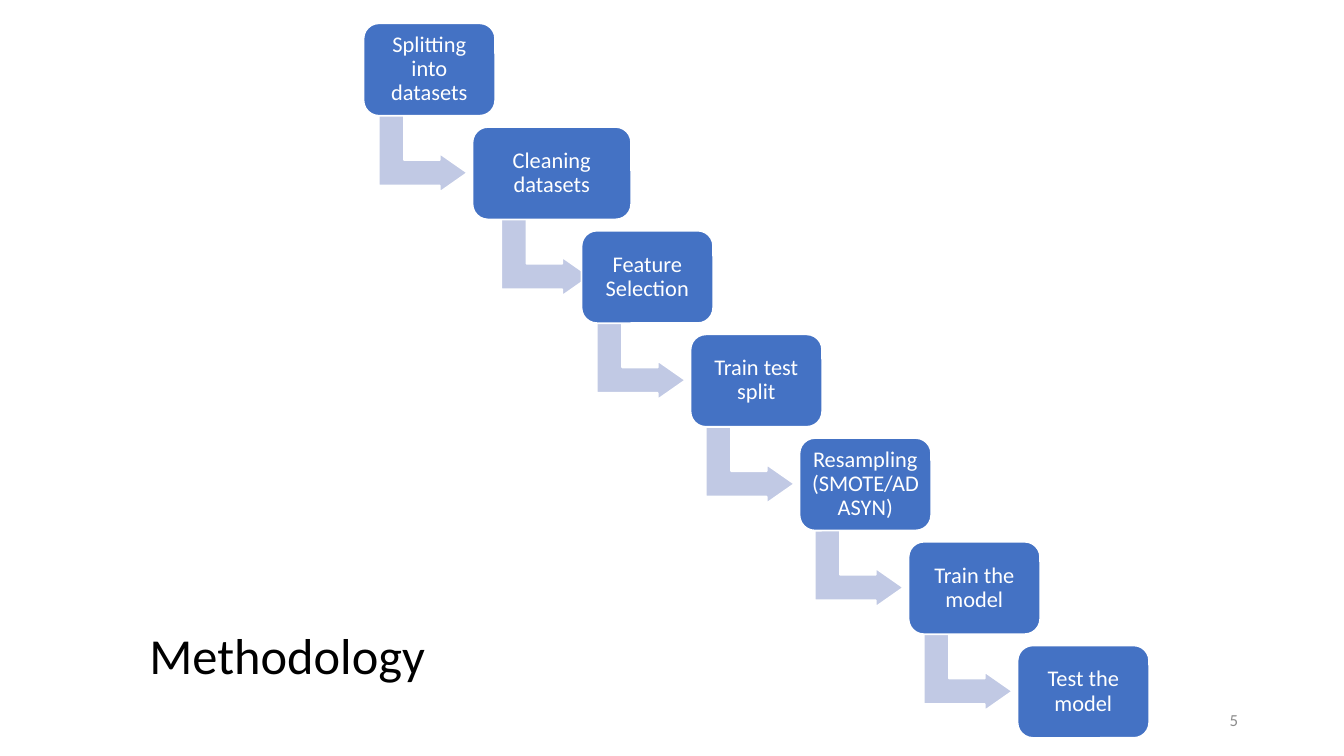
from pptx import Presentation
from pptx.dml.color import RGBColor
from pptx.enum.shapes import MSO_SHAPE as SHAPE
from pptx.enum.text import MSO_ANCHOR as ANCHOR, PP_ALIGN as ALIGN
from pptx.util import Cm, Pt

COLORS = {
    "box": "4472C4",
    "arrow": "C1C9E4",
    "white": "FFFFFF",
    "title": "000000",
    "number": "8C8C8C",
}
STEPS = [
    "Splitting into datasets",
    "Cleaning datasets",
    "Feature Selection",
    "Train test split",
    "Resampling (SMOTE/ADASYN)",
    "Train the model",
    "Test the model",
]
LEFT, TOP = 6.87, 0.44
STEP_X, STEP_Y = 2.06, 1.96
BOX_W, BOX_H = 2.49, 1.75
EXTRA_W = {"Cleaning datasets": 0.51}


def write(shape, text, size, color, align, spacing=1.0, inset=None):
    tf = shape.text_frame
    tf.word_wrap = True
    tf.vertical_anchor = ANCHOR.MIDDLE
    if inset is not None:
        tf.margin_left = tf.margin_right = Cm(inset)
        tf.margin_top = tf.margin_bottom = Cm(inset)
    p = tf.paragraphs[0]
    p.alignment = align
    p.line_spacing = spacing
    r = p.add_run()
    r.text = text
    r.font.name = "Calibri"
    r.font.size = Pt(size)
    r.font.color.rgb = RGBColor.from_string(COLORS[color])


def add_block(kind, left, top, width, height, color, adjustments):
    """Add a filled preset shape with a thin white outline."""
    sp = s.shapes.add_shape(kind, Cm(left), Cm(top), Cm(width), Cm(height))
    sp.shadow.inherit = False
    sp.fill.solid()
    sp.fill.fore_color.rgb = RGBColor.from_string(COLORS[color])
    sp.line.color.rgb = RGBColor.from_string(COLORS["white"])
    sp.line.width = Pt(1)
    for i, value in enumerate(adjustments):
        sp.adjustments[i] = value
    return sp


prs = Presentation()
prs.slide_width, prs.slide_height = Cm(25.4), Cm(14.29)
s = prs.slides.add_slide(prs.slide_layouts[5])

title = s.shapes.title
title.left, title.top, title.width, title.height = Cm(2.57), Cm(11.76), Cm(10.03), Cm(1.35)
write(title, "Methodology", 27, "title", ALIGN.LEFT, spacing=0.9)

for i, step in enumerate(STEPS):
    x, y = LEFT + i * STEP_X, TOP + i * STEP_Y
    extra = EXTRA_W.get(step, 0)
    if i < len(STEPS) - 1:
        arrow = add_block(SHAPE.BENT_UP_ARROW, x + 0.39 + extra / 2, y + 1.62,
                          1.47, 1.68, "arrow", [0.328, 0.25, 0.358])
        arrow.rotation = 90
    box = add_block(SHAPE.ROUNDED_RECTANGLE, x, y, BOX_W + extra, BOX_H, "box", [0.167])
    write(box, step, 12, "white", ALIGN.CENTER, spacing=0.9, inset=0.13)

number = s.shapes.add_textbox(Cm(17.93), Cm(13.23), Cm(5.72), Cm(0.76))
write(number, "5", 9, "number", ALIGN.RIGHT)

prs.save("out.pptx")
